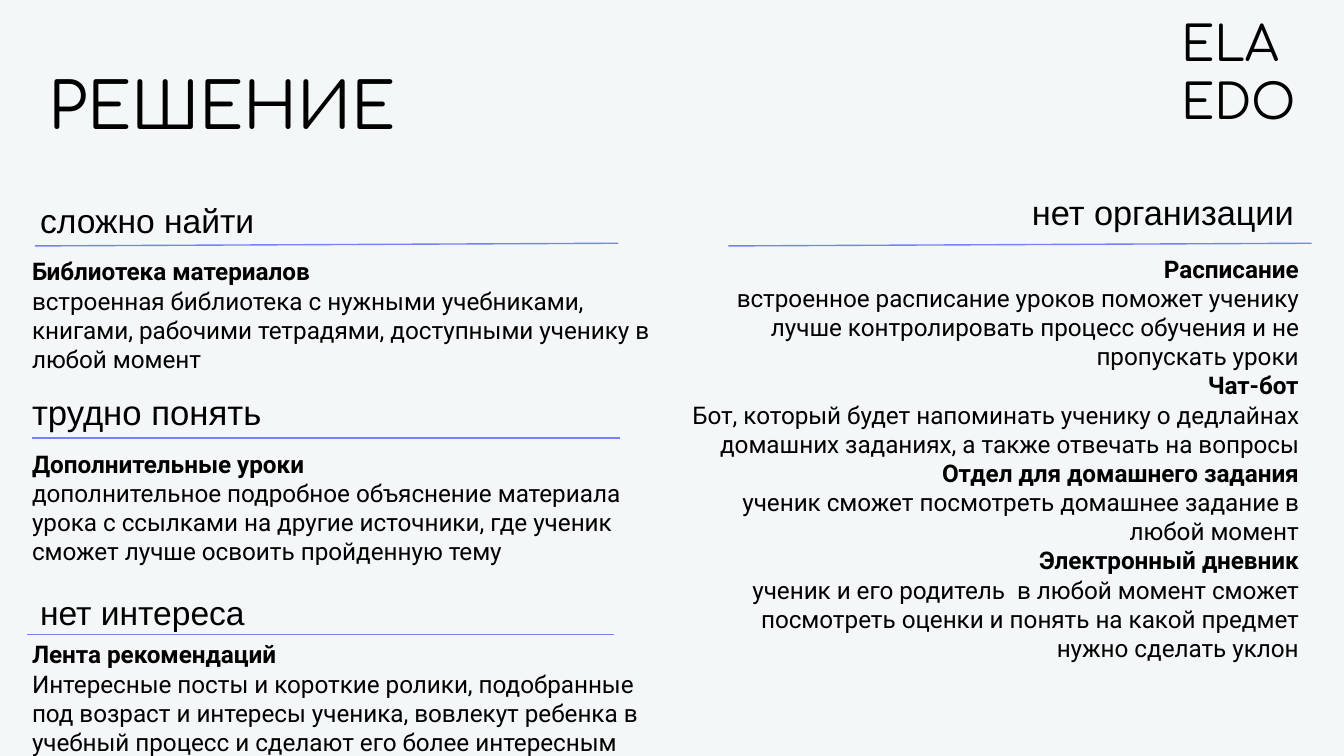
from pptx import Presentation
from pptx.dml.color import RGBColor
from pptx.enum import shapes, text
from pptx.oxml.ns import qn
from pptx.util import Inches, Pt
from lxml import etree

INK, RULE, PAPER = "000000", "7980FC", "F3F7F8"

LEFT = [
    (1.34, 0.20, 1.84, 18, "сложно найти", (0.26, 1.83, 4.60, 1.81), 1.81,
     ["Библиотека материалов",
      "встроенная библиотека с нужными учебниками, книгами, рабочими тетрадями, "
      "доступными ученику в любой момент"]),
    (2.76, 0.14, 2.60, 18.6, "трудно понять", (0.24, 3.26, 4.61, 3.26), 3.24,
     ["Дополнительные уроки",
      "дополнительное подробное объяснение материала урока с ссылками на другие "
      "источники, где ученик сможет лучше освоить пройденную тему"]),
    (4.26, 0.20, 1.84, 18, "нет интереса", (0.20, 4.72, 4.57, 4.72), 4.66,
     ["Лента рекомендаций",
      "Интересные посты и короткие ролики, подобранные под возраст и интересы "
      "ученика, вовлекут ребенка в учебный процесс и сделают его более интересным"]),
]

PLAN = [
    "Расписание",
    "встроенное расписание уроков поможет ученику лучше контролировать процесс "
    "обучения и не пропускать уроки",
    "Чат-бот",
    "Бот, который будет напоминать ученику о дедлайнах домашних заданиях, "
    "а также отвечать на вопросы",
    "Отдел для домашнего задания",
    "ученик сможет посмотреть домашнее задание в любой момент",
    "Электронный дневник",
    "ученик и его родитель  в любой момент сможет посмотреть оценки и понять "
    "на какой предмет нужно сделать уклон",
]


def tint(code):
    return RGBColor.from_string(code)


def write(slide, box, lines, font, size):
    frame = slide.shapes.add_textbox(*map(Inches, box)).text_frame
    frame.word_wrap = True
    frame.margin_left = frame.margin_right = Inches(0.1)
    frame.margin_top = frame.margin_bottom = Inches(0.1)
    frame.text = "\n".join(lines)
    for para in frame.paragraphs:
        for run in para.runs:
            run.font.name = font
            run.font.size = Pt(size)
            run.font.color.rgb = tint(INK)
    return frame


def head(slide, box, label, size):
    para = write(slide, box, [label], "Arial", size).paragraphs[0]
    para.line_spacing = 1.15
    para.space_after = Pt(12)


def body(slide, box, lines, right=False):
    frame = write(slide, box, lines, "Roboto", 13)
    frame.auto_size = text.MSO_AUTO_SIZE.SHAPE_TO_FIT_TEXT
    for i, para in enumerate(frame.paragraphs):
        for run in para.runs:
            run.font.bold = i % 2 == 0
        if right:
            para.alignment = text.PP_ALIGN.RIGHT
            props = para._p.get_or_add_pPr()
            props.set("marL", str(Inches(0.5)))
            props.set("indent", "0")


def rule(slide, ends):
    line = slide.shapes.add_connector(
        shapes.MSO_CONNECTOR.STRAIGHT, *map(Inches, ends))
    line.line.color.rgb = tint(RULE)
    line.line.width = Pt(0.75)
    etree.SubElement(line._element.spPr, qn("a:effectLst"))


def left(slide):
    for top, x, width, size, label, ends, low, lines in LEFT:
        head(slide, (x, top, width, 0.51), label, size)
        rule(slide, ends)
        body(slide, (0.14, low, 4.86, 1.08), lines)


def right(slide, x, y, width):
    edge = x + width
    head(slide, (edge - 2.18, y, 2.18, 0.51), "нет организации", 18.4)
    rule(slide, (edge - 4.34, y + 0.55, edge, y + 0.53))
    body(slide, (x, y + 0.51, width, 3.48), PLAN, True)


def main():
    deck = Presentation()
    deck.slide_width = Inches(10)
    deck.slide_height = deck.slide_width * 9 // 16
    slide = deck.slides.add_slide(deck.slide_layouts[6])
    fill = slide.background.fill
    fill.solid()
    fill.fore_color.rgb = tint(PAPER)
    write(slide, (0.26, 0.39, 9.32, 0.63), ["РЕШЕНИЕ"], "Comfortaa", 34.2)
    write(slide, (8.69, 0, 1.31, 1.21), ["ELA", "EDO"], "Comfortaa", 25.8)
    left(slide)
    right(slide, 4.51, 1.28, 5.25)
    deck.save("out.pptx")


if __name__ == "__main__":
    main()
